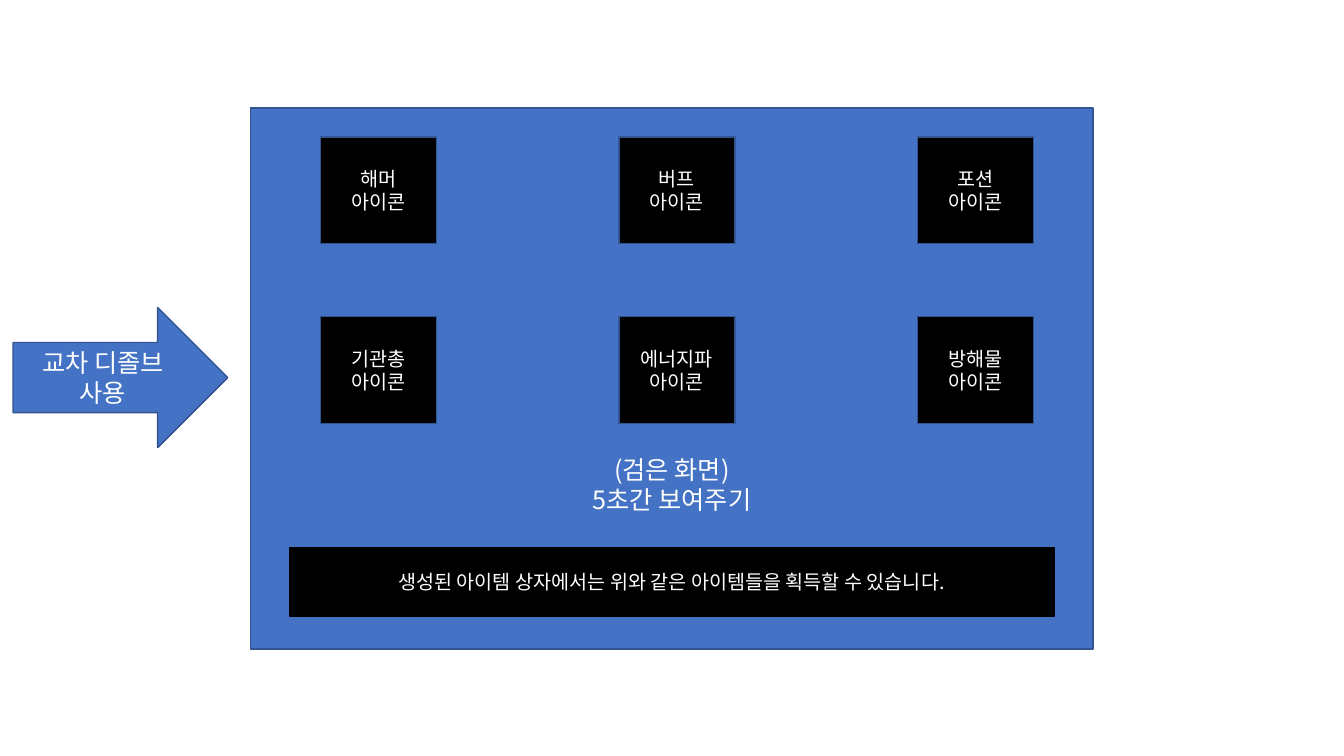
from lxml import etree
from pptx import Presentation
from pptx.dml.color import RGBColor
from pptx.enum.shapes import MSO_SHAPE
from pptx.enum.text import MSO_ANCHOR, PP_ALIGN
from pptx.oxml.ns import qn
from pptx.util import Cm, Pt

RECTANGLE = MSO_SHAPE.RECTANGLE
RIGHT_ARROW = MSO_SHAPE.RIGHT_ARROW
MIDDLE = MSO_ANCHOR.MIDDLE
CENTER = PP_ALIGN.CENTER

COLORS = {"blue": "4472C4", "outline": "325491", "black": "000000", "white": "FFFFFF"}
FONT = "Noto Sans CJK KR"


class Storyboard:
    """Holds the style and the current slide."""

    def __init__(self, page):
        self.page = page

    def color(self, name):
        return RGBColor.from_string(COLORS[name])

    def block(self, kind, left, top, width, height, text,
              fill="blue", line="outline", size=18, top_inset=0.13):
        box = self.page.shapes.add_shape(kind, Cm(left), Cm(top), Cm(width), Cm(height))
        box.shadow.inherit = False
        box.fill.solid()
        box.fill.fore_color.rgb = self.color(fill)
        box.line.color.rgb = self.color(line)
        box.line.width = Pt(1)
        self.label(box.text_frame, text, size, top_inset)

    def label(self, frame, text, size, top_inset):
        frame.text = text
        frame.word_wrap = True
        frame.vertical_anchor = MIDDLE
        frame.margin_top = Cm(top_inset)
        for para in frame.paragraphs:
            para.alignment = CENTER
            for span in para.runs:
                span.font.size = Pt(size)
                span.font.color.rgb = self.color("white")
                span.font.name = FONT
                # Korean text takes the East Asian typeface
                etree.SubElement(span.font._element, qn("a:ea"), typeface=FONT)


deck = Presentation()
deck.slide_width, deck.slide_height = Cm(33.87), Cm(19.05)
board = Storyboard(deck.slides.add_slide(deck.slide_layouts[6]))

# Screen panel, its text pushed below the icons by the top inset
board.block(RECTANGLE, 6.32, 2.72, 21.23, 13.64,
            "(검은 화면)\n5초간 보여주기", top_inset=5.45)

# Transition arrow
board.block(RIGHT_ARROW, 0.33, 7.75, 5.41, 3.53, "교차 디졸브 사용")

# Caption bar
board.block(RECTANGLE, 7.29, 13.79, 19.28, 1.73,
            "생성된 아이템 상자에서는 위와 같은 아이템들을 획득할 수 있습니다.",
            fill="black", line="black", size=14)

# Item icons in a grid
ICON_ROWS = [["해머", "버프", "포션"], ["기관총", "에너지파", "방해물"]]
for row, items in enumerate(ICON_ROWS):
    for column, item in enumerate(items):
        board.block(RECTANGLE, 8.08 + 7.52 * column, 3.45 + 4.53 * row, 2.92, 2.69,
                    f"{item}\n아이콘", fill="black", size=14)

deck.save("out.pptx")
